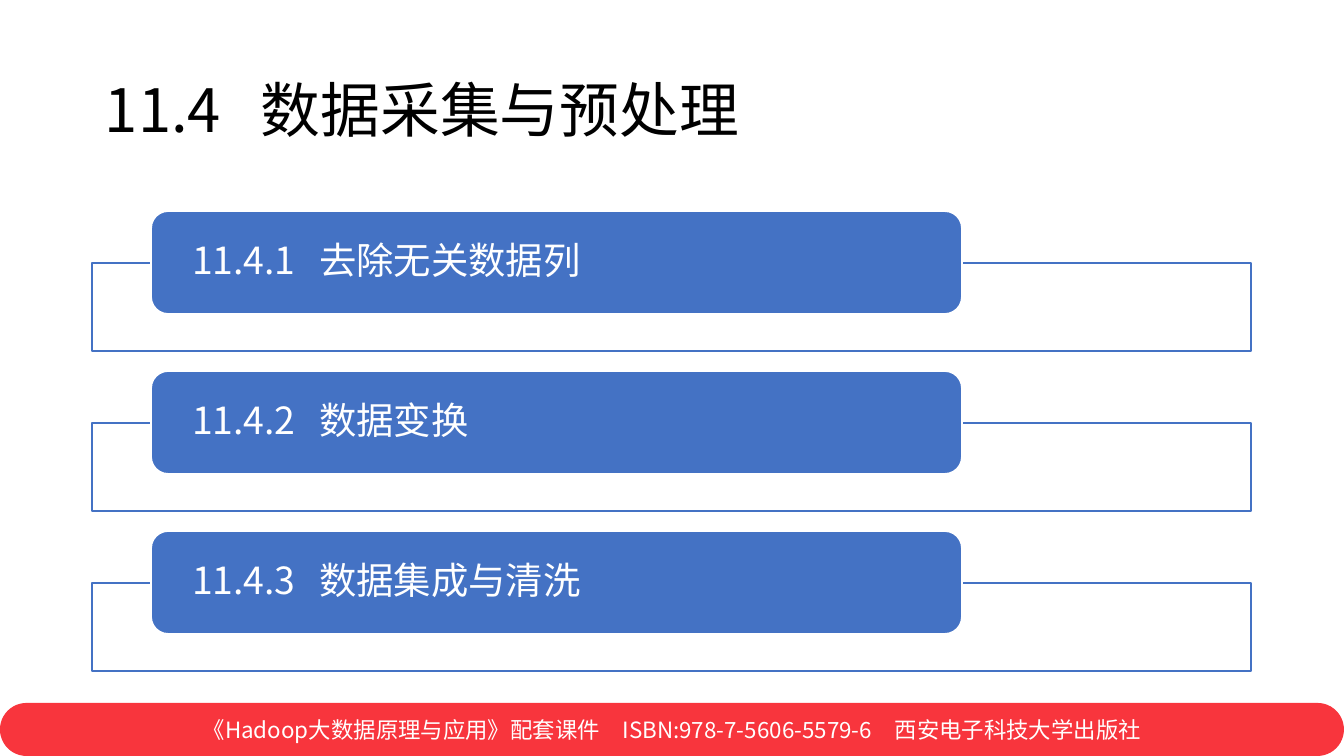
from dataclasses import dataclass

from lxml import etree
from pptx import Presentation
from pptx.dml.color import RGBColor
from pptx.enum import shapes, text
from pptx.oxml.ns import qn
from pptx.util import Emu, Pt

SCALE = 914400 / 134.4  # EMU in one px
FONT = "Noto Sans CJK SC"
BLUE, RED, WHITE, BLACK = "4472C4", "F8353D", "FFFFFF", "000000"
STEP = 160  # px from one topic to the next


@dataclass(frozen=True)
class Box:
    x: int
    y: int
    w: int
    h: int

    def down(self, dy: int) -> "Box":
        return Box(self.x, self.y + dy, self.w, self.h)

    def emu(self) -> list[Emu]:
        return [px(n) for n in (self.x, self.y, self.w, self.h)]


FRAME = Box(92, 263, 1159, 88)
BAR = Box(151, 211, 811, 103)
TOPICS = ["11.4.1\t去除无关数据列", "11.4.2\t数据变换", "11.4.3\t数据集成与清洗"]


def px(n: int) -> Emu:
    return Emu(round(n * SCALE))


def rgb(code: str) -> RGBColor:
    return RGBColor.from_string(code)


def draw(slide, kind, box: Box, fill: str, line: str | None = None,
         alpha: int = 100):
    """Add a flat shape; alpha is the fill's opacity in percent."""
    shape = slide.shapes.add_shape(kind, *box.emu())
    shape.shadow.inherit = False
    shape.fill.solid()
    shape.fill.fore_color.rgb = rgb(fill)
    if line:
        shape.line.color.rgb = rgb(line)
        shape.line.width = Pt(1)
    else:
        shape.line.fill.background()
    if alpha < 100:
        color = shape.fill._xPr.find(qn("a:solidFill"))[0]
        etree.SubElement(color, qn("a:alpha"), val=str(alpha * 1000))
    return shape


def write(shape, words: str, *, size: int, color: str = WHITE, inset: int = 13,
          tab: int = 0, align=text.PP_ALIGN.LEFT, lead: float = 1.0) -> None:
    """Put one middle-anchored paragraph in a shape."""
    frame = shape.text_frame
    frame.word_wrap = True
    frame.vertical_anchor = text.MSO_ANCHOR.MIDDLE
    frame.margin_left = frame.margin_right = px(inset)
    frame.margin_top = frame.margin_bottom = 0
    para = frame.paragraphs[0]
    para.alignment = align
    para.line_spacing = lead
    if tab:
        stops = etree.SubElement(para._p.get_or_add_pPr(), qn("a:tabLst"))
        etree.SubElement(stops, qn("a:tab"), pos=str(px(tab)), algn="l")
    run = para.add_run()
    run.text = words
    run.font.size = Pt(size)
    run.font.name = FONT
    run.font.color.rgb = rgb(color)
    # East Asian text takes its own typeface
    etree.SubElement(run._r.get_or_add_rPr(), qn("a:ea"), typeface=FONT)


def topic(slide, words: str, row: int) -> None:
    """Draw a framed bar with its heading."""
    kind = shapes.MSO_SHAPE
    dy = row * STEP
    draw(slide, kind.RECTANGLE, FRAME.down(dy), WHITE, BLUE, alpha=90)
    bar = draw(slide, kind.ROUNDED_RECTANGLE, BAR.down(dy), BLUE, WHITE)
    write(bar, words, size=20, inset=36, tab=127, lead=0.9)


def main() -> None:
    deck = Presentation()
    deck.slide_width, deck.slide_height = px(1344), px(756)
    slide = deck.slides.add_slide(deck.slide_layouts[6])

    # Footer band
    band = draw(slide, shapes.MSO_SHAPE.ROUNDED_RECTANGLE,
                Box(0, 703, 1344, 53), RED)
    band.adjustments[0] = 0.5
    write(band, "《Hadoop大数据原理与应用》配套课件　ISBN:978-7-5606-5579-6　西安电子科技大学出版社",
          size=12, align=text.PP_ALIGN.CENTER)

    # Title
    title = slide.shapes.add_textbox(*Box(92, 40, 1159, 146).emu())
    write(title, "11.4\t数据采集与预处理", size=32, color=BLACK, tab=156, lead=0.9)

    # Topics
    for row, words in enumerate(TOPICS):
        topic(slide, words, row)

    deck.save("out.pptx")


if __name__ == "__main__":
    main()
